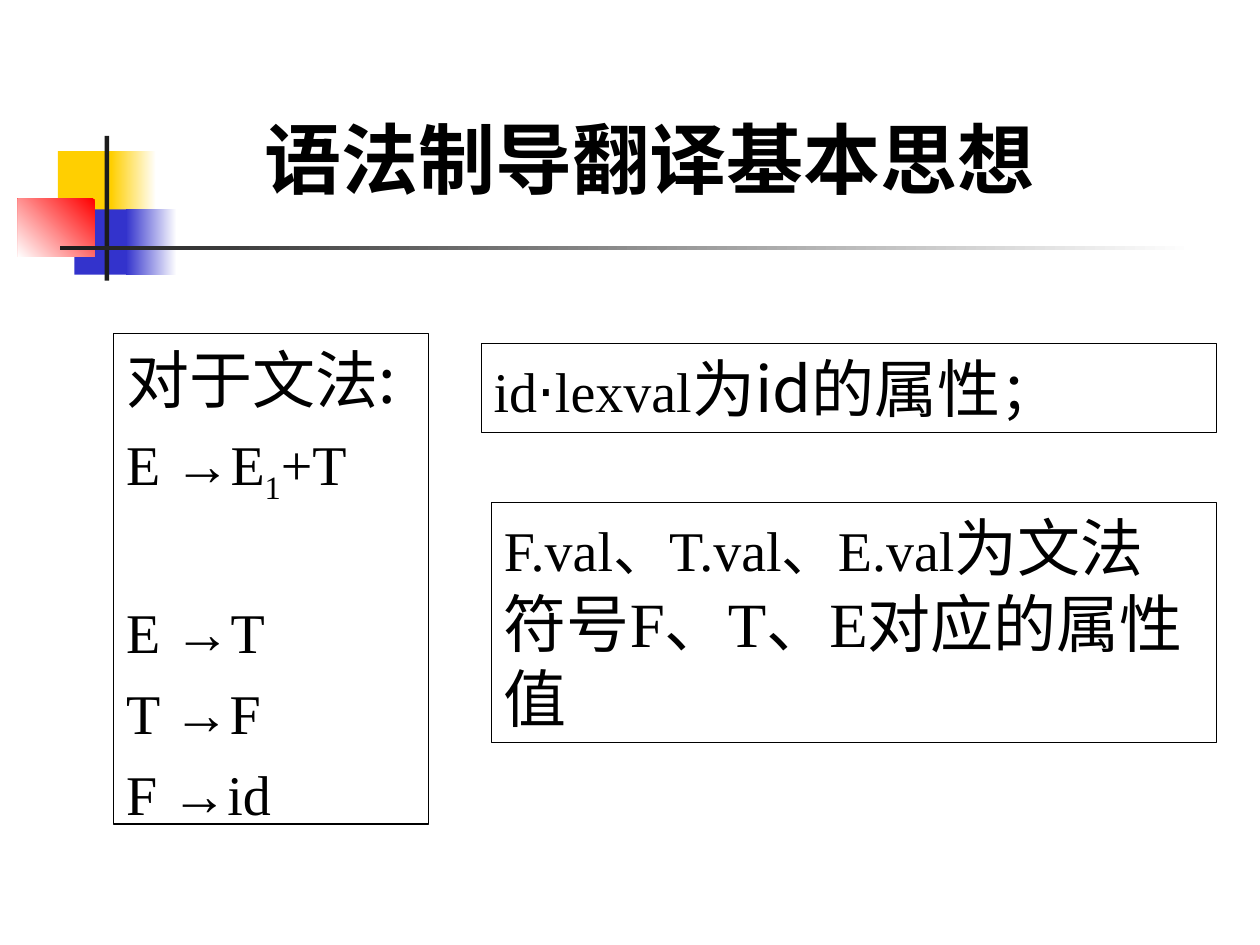
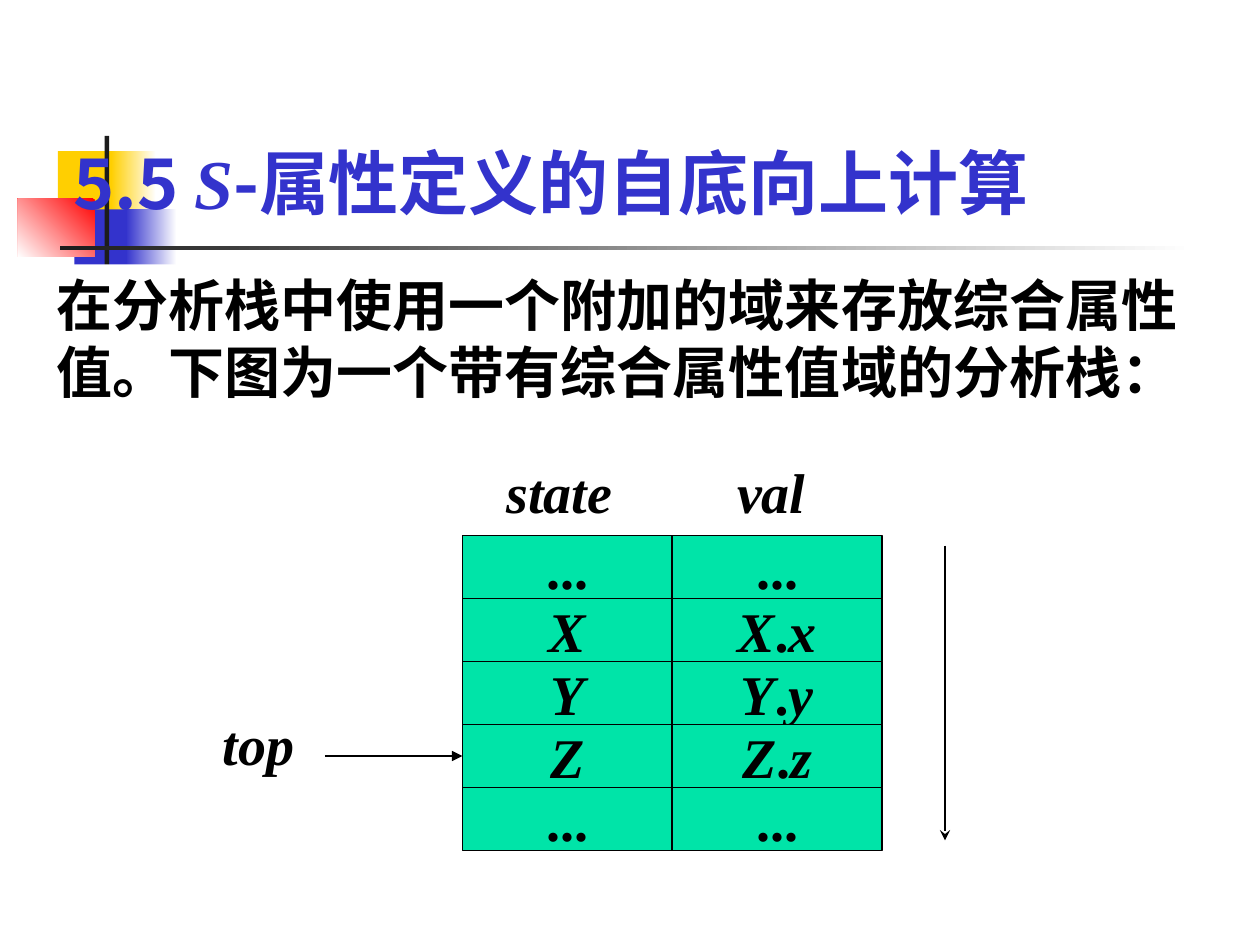
from dataclasses import dataclass
from typing import NamedTuple

from lxml import etree
from pptx import Presentation
from pptx import util as u
from pptx.dml.color import RGBColor
from pptx.enum import shapes as kinds, text as txt
from pptx.oxml.ns import qn


@dataclass(frozen=True)
class Theme:
    black: str = "000000"
    white: str = "FFFFFF"
    dark: str = "1C1C1C"
    gold: str = "FFCF01"
    blue: str = "3333CC"
    red: str = "FF0000"
    green: str = "00E4A8"
    serif: str = "Times New Roman"
    sans: str = "Arial"
    plain: str = "Noto Sans CJK JP"
    heavy: str = "Noto Sans CJK SC"
    big: int = 44
    head: int = 40
    large: int = 36
    base: int = 32
    hair: float = 0.25
    thin: float = 0.75
    lead: float = 1.2


T = Theme()


class Box(NamedTuple):
    """Left, top, width and height in centimetres."""
    x: float
    y: float
    w: float
    h: float


class Band(NamedTuple):
    box: Box
    start: str
    end: str = ""
    angle: int = 180


class Run(NamedTuple):
    text: str
    font: str = T.serif
    size: int = T.base
    bold: bool = False
    slant: bool = False
    color: str = T.black
    sub: bool = False


class Para(NamedTuple):
    runs: list[Run]
    before: float = 0
    lead: float = 0


class Label(NamedTuple):
    text: str
    box: Box


class Arrow(NamedTuple):
    x1: float
    y1: float
    x2: float
    y2: float
    tip: str


BANDS = [
    Band(Box(1.17, 3.05, 1.22, 1.32), T.gold),
    Band(Box(2.24, 3.05, 0.91, 1.32), T.white, T.gold),
    Band(Box(1.5, 4.22, 1.17, 1.32), T.blue),
    Band(Box(2.54, 4.22, 1.02, 1.32), T.white, T.blue),
    Band(Box(0.36, 4.01, 1.55, 1.17), T.red, T.white, 225),
    Band(Box(2.11, 2.74, 0.09, 2.92), T.dark),
    Band(Box(1.22, 4.95, 22.86, 0.09), T.white, T.dark),
]


def rgb(code: str) -> RGBColor:
    return RGBColor.from_string(code)


def place(shape, box: Box) -> None:
    shape.left, shape.top, shape.width, shape.height = map(u.Cm, box)


def paint(shape, fill: str, width: float = 0) -> None:
    """Give a solid fill, and a black outline if a width is set."""
    shape.fill.solid()
    shape.fill.fore_color.rgb = rgb(fill)
    if width:
        shape.line.color.rgb = rgb(T.black)
        shape.line.width = u.Pt(width)
    else:
        shape.line.fill.background()


def add_rect(slide, box: Box, fill: str, width: float = 0):
    shape = slide.shapes.add_shape(kinds.MSO_SHAPE.RECTANGLE, *map(u.Cm, box))
    shape.shadow.inherit = False
    paint(shape, fill, width)
    return shape


def add_run(para, part: Run) -> None:
    run = para.add_run()
    run.text = part.text
    font = run.font
    font.name, font.size = part.font, u.Pt(part.size)
    font.bold, font.italic = part.bold, part.slant
    font.color.rgb = rgb(part.color)
    props = run._r.get_or_add_rPr()
    east = T.heavy if part.font == T.serif else part.font
    etree.SubElement(props, qn("a:ea")).set("typeface", east)
    if part.sub:
        props.set("baseline", "-25000")


def write(shape, paras: list[Para], align=txt.PP_ALIGN.LEFT,
          anchor=txt.MSO_ANCHOR.TOP, wrap: bool = True) -> None:
    frame = shape.text_frame
    frame.auto_size = txt.MSO_AUTO_SIZE.NONE
    frame.word_wrap, frame.vertical_anchor = wrap, anchor
    for i, item in enumerate(paras):
        para = frame.add_paragraph() if i else frame.paragraphs[0]
        props = para._p.get_or_add_pPr()
        props.set("marL", "0")
        props.set("indent", "0")
        etree.SubElement(props, qn("a:buNone"))
        para.alignment = align
        para.space_before = u.Pt(item.before)
        if item.lead:
            para.line_spacing = u.Pt(item.lead)
        for part in item.runs:
            add_run(para, part)


def add_arrow(slide, arrow: Arrow) -> None:
    ends = map(u.Cm, arrow[:4])
    line = slide.shapes.add_connector(kinds.MSO_CONNECTOR.STRAIGHT, *ends)
    line.line.color.rgb = rgb(T.black)
    line.line.width = u.Pt(T.thin)
    stroke = line.line._get_or_add_ln()
    etree.SubElement(stroke, qn("a:tailEnd")).set("type", arrow.tip)
    etree.SubElement(line.element.spPr, qn("a:effectLst"))


def add_bands(slide) -> None:
    """Draw the bands and move them to the back of the slide's layout."""
    tree = slide.slide_layout.shapes.element
    for i, band in enumerate(BANDS):
        shape = add_rect(slide, band.box, band.start)
        if band.end:
            shape.fill.gradient()
            shape.fill.gradient_angle = band.angle
            for stop, code in zip(shape.fill.gradient_stops, band[1:3]):
                stop.color.rgb = rgb(code)
        shape.element.nvSpPr.cNvPr.set("id", str(100 + i))
        tree.insert(2 + i, shape.element)


def rule(left: str, right: list[Run], before: float = 8) -> Para:
    """Make a grammar rule with an arrow between its sides."""
    return Para([Run(left + " "), Run("→", T.sans), *right], before)


def draw_idea(slide) -> None:
    title, body = slide.placeholders
    place(title, Box(2.9, 0.91, 20.4, 3.33))
    name = Run("语法制导翻译基本思想", T.heavy, T.big, True)
    write(title, [Para([name], lead=T.big * T.lead)],
          txt.PP_ALIGN.CENTER, txt.MSO_ANCHOR.BOTTOM)

    lead = T.large * T.lead
    place(body, Box(2.29, 6.73, 6.35, 9.88))
    paint(body, T.white, T.thin)
    write(body, [
        Para([Run("对于文法:", T.plain, T.large)], lead=lead),
        rule("E", [Run("E"), Run("1", sub=True), Run("+T")]),
        rule("E", [Run("T")], before=52),
        rule("T", [Run("F")]),
        rule("F", [Run("id")]),
    ])

    notes = [
        (Box(9.7, 6.93, 14.81, 1.78),
         [Run("id"), Run("⋅", T.sans), Run("lexval"),
          Run("为id的属性", T.plain, T.large), Run("；")]),
        (Box(9.91, 10.13, 14.61, 4.83),
         [Run("F.val、T.val、E.val"),
          Run("为文法符号F、T、E对应的属性值", size=T.large)]),
    ]
    for box, runs in notes:
        write(add_rect(slide, box, T.white, T.hair), [Para(runs, lead=lead)])


def draw_stack(slide) -> None:
    title, body = slide.placeholders
    place(title, Box(1.22, 2.69, 21.39, 1.96))
    look = dict(size=T.head, bold=True, color=T.blue)
    write(title, [Para([
        Run("5.5 ", T.heavy, **look),
        Run("S", slant=True, **look),
        Run("-属性定义的自底向上计算", T.heavy, **look),
    ], lead=T.head * T.lead)], wrap=False)

    place(body, Box(0.89, 5.33, 23.44, 2.97))
    paint(body, T.white)
    intro = "在分析栈中使用一个附加的域来存放综合属性值。下图为一个带有综合属性值域的分析栈："
    write(body, [Para([Run(intro, T.heavy, bold=True)], lead=T.base * T.lead)])

    for label in [
        Label("state", Box(9.96, 9.09, 3.15, 1.63)),
        Label("val", Box(14.61, 9.09, 2.11, 1.63)),
        Label("top", Box(4.24, 14.17, 2.74, 1.63)),
    ]:
        box = slide.shapes.add_textbox(*map(u.Cm, label.box))
        write(box, [Para([Run(label.text, bold=True, slant=True)])])

    left, top, wide, high = 9.32, 10.8, 4.23, 1.27
    for row, state in enumerate(["...", "X", "Y", "Z", "..."]):
        first = [Run(state, bold=True, slant=state != "...")]
        pair = first if state == "..." else [
            *first, Run(".", bold=True),
            Run(state.lower(), bold=True, slant=True)]
        for col, runs in enumerate([first, pair]):
            spot = Box(left + col * wide, top + row * high, wide, high)
            write(add_rect(slide, spot, T.green, T.thin), [Para(runs)],
                  txt.PP_ALIGN.CENTER, txt.MSO_ANCHOR.MIDDLE, wrap=False)

    add_arrow(slide, Arrow(6.55, 15.24, left, 15.24, "triangle"))
    add_arrow(slide, Arrow(19.05, 11, 19.05, 16.94, "stealth"))


def main() -> None:
    deck = Presentation()
    deck.slide_width, deck.slide_height = u.Cm(25.4), u.Cm(19.05)
    layout = deck.slide_layouts[1]
    idea, stack = (deck.slides.add_slide(layout) for _ in range(2))
    add_bands(idea)
    draw_idea(idea)
    draw_stack(stack)
    deck.save("out.pptx")


if __name__ == "__main__":
    main()
